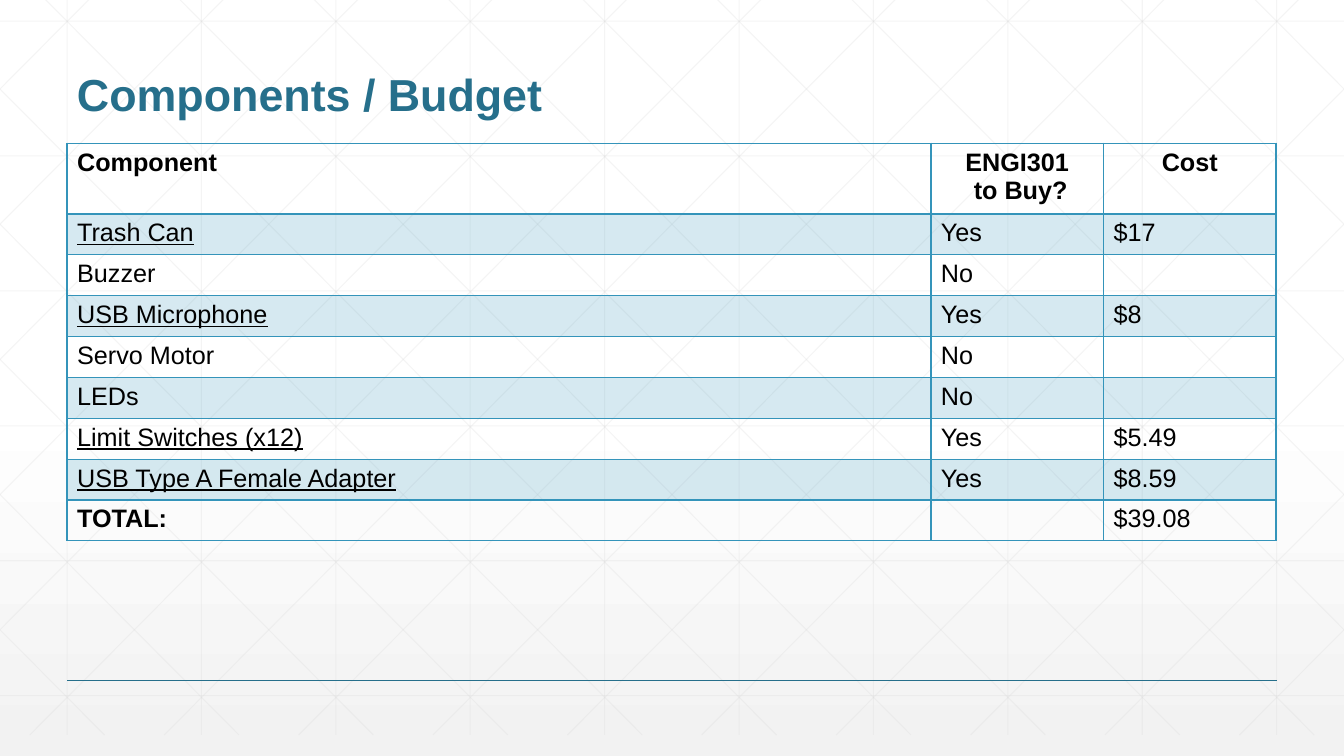
"""Build the Components / Budget slide."""
from lxml import etree
from pptx import Presentation
from pptx.dml.color import RGBColor
from pptx.enum.shapes import MSO_CONNECTOR
from pptx.enum.text import MSO_ANCHOR, PP_ALIGN
from pptx.oxml.ns import qn
from pptx.util import Cm, Pt

TITLE = "Components / Budget"
HEADER = ("Component", "ENGI301\n to Buy?", "Cost")
ROWS = [
    ("Trash Can", "Yes", "$17"),
    ("Buzzer", "No", ""),
    ("USB Microphone", "Yes", "$8"),
    ("Servo Motor", "No", ""),
    ("LEDs", "No", ""),
    ("Limit Switches (x12)", "Yes", "$5.49"),
    ("USB Type A Female Adapter", "Yes", "$8.59"),
    ("TOTAL:", "", "$39.08"),
]
UNDERLINED = {"Trash Can", "USB Microphone", "Limit Switches (x12)",
              "USB Type A Female Adapter"}
BOLD = {*HEADER, "TOTAL:"}

FONT = "Arial"
BLACK = RGBColor(0x00, 0x00, 0x00)
WHITE = RGBColor(0xFF, 0xFF, 0xFF)
PALE_GREY = RGBColor(0xF2, 0xF2, 0xF2)
GRID_GREY = RGBColor(0xD8, 0xD8, 0xD8)
DEEP_TEAL = RGBColor(0x26, 0x6F, 0x8B)
TEAL = RGBColor(0x34, 0x94, 0xBA)
BACKGROUND_STOPS = [(0, WHITE, 100), (53, WHITE, 100), (100, PALE_GREY, 65)]
STRAIGHT = MSO_CONNECTOR.STRAIGHT
BOTTOM = MSO_ANCHOR.BOTTOM
CENTER = PP_ALIGN.CENTER

WIDTH, HEIGHT = 33.87, 19.05
MARGIN = 1.69
CONTENT_WIDTH = WIDTH - 2 * MARGIN
PITCH = WIDTH / 10
GRID_TOP, GRID_BOTTOM = -0.53, 18.52
FIRST_ROW_LINE, ROW_PITCH = 0.53, 3.4
FIRST_DIAGONAL, DIAGONAL_RUN = 0.63, 18.94
TABLE_TOP, ROW_HEIGHT = 3.61, 1.03
COLUMN_WIDTHS = (21.77, 4.35, 4.35)
FOOTER_Y = 17.15


def add_alpha(color_element, percent):
    """Give a colour element its opacity."""
    etree.SubElement(color_element, qn("a:alpha"), val=str(percent * 1000))


def paint_background(page):
    """Fill the page with the vertical gradient."""
    fill = page.background.fill
    fill.gradient()
    fill.gradient_angle = 270
    stop_list = page.background._cSld.find(".//" + qn("a:gsLst"))
    for stop in list(stop_list):
        stop_list.remove(stop)
    for position, color, opacity in BACKGROUND_STOPS:
        stop = etree.SubElement(stop_list, qn("a:gs"), pos=str(position * 1000))
        add_alpha(etree.SubElement(stop, qn("a:srgbClr"), val=str(color)), opacity)


def add_line(shapes, start, end, color, width, opacity=100):
    """Draw one straight line without a shadow."""
    line = shapes.add_connector(STRAIGHT, *map(Cm, start + end))
    line.line.color.rgb = color
    line.line.width = Pt(width)
    properties = line._element.spPr
    if opacity < 100:
        add_alpha(properties.find(".//" + qn("a:srgbClr")), opacity)
    etree.SubElement(properties, qn("a:effectLst"))


def grid_lines():
    """Return the ends of all upright, level and slanting grid lines."""
    lines = []
    for index in range(10):
        x = MARGIN + index * PITCH
        lines.append(((x, GRID_TOP), (x, GRID_BOTTOM)))
    for index in range(6):
        y = FIRST_ROW_LINE + index * ROW_PITCH
        lines.append(((0, y), (WIDTH, y)))
    slope = (GRID_BOTTOM - GRID_TOP) / DIAGONAL_RUN
    for index in range(-5, 10):
        top_x = FIRST_DIAGONAL + index * PITCH
        left, right = max(top_x, 0), min(top_x + DIAGONAL_RUN, WIDTH)
        start_y, end_y = (GRID_TOP + (x - top_x) * slope for x in (left, right))
        lines.append(((left, start_y), (right, end_y)))
        lines.append(((WIDTH - left, start_y), (WIDTH - right, end_y)))
    return lines


def style_paragraph(para, size, color, bold, underline=False):
    """Format every run of a paragraph."""
    for span in para.runs:
        font = span.font
        font.name, font.size = FONT, Pt(size)
        font.bold, font.underline = bold, underline
        font.color.rgb = color


def add_title(page):
    """Place the title above the table."""
    box = page.shapes.add_textbox(Cm(MARGIN), Cm(0.64), Cm(CONTENT_WIDTH), Cm(2.54))
    frame = box.text_frame
    frame.word_wrap = True
    frame.vertical_anchor = BOTTOM
    frame.text = TITLE
    para = frame.paragraphs[0]
    para.line_spacing = 0.9
    style_paragraph(para, 32, DEEP_TEAL, True)


def border_cell(cell, row_index):
    """Outline a cell, with a heavier rule under the header."""
    widths = {"L": 1, "R": 1, "T": 2 if row_index == 1 else 1,
              "B": 2 if row_index == 0 else 1}
    properties = cell._tc.get_or_add_tcPr()
    for place, (side, width) in enumerate(widths.items()):
        edge = etree.Element(qn("a:ln" + side), w=str(Pt(width)))
        fill = etree.SubElement(edge, qn("a:solidFill"))
        etree.SubElement(fill, qn("a:srgbClr"), val=str(TEAL))
        properties.insert(place, edge)


def fill_cell(cell, text, row_index):
    """Write and style one table cell."""
    cell.text_frame.text = text
    for para in cell.text_frame.paragraphs:
        style_paragraph(para, 18, BLACK, text in BOLD, text in UNDERLINED)
        if row_index == 0 and text != HEADER[0]:
            para.alignment = CENTER
    if row_index % 2:
        cell.fill.solid()
        cell.fill.fore_color.rgb = TEAL
        add_alpha(cell._tc.tcPr.find(".//" + qn("a:srgbClr")), 20)
    else:
        cell.fill.background()
    border_cell(cell, row_index)


def add_budget_table(page):
    """Place the table of components and costs."""
    content = [HEADER, *ROWS]
    table = page.shapes.add_table(
        len(content), len(HEADER), Cm(MARGIN), Cm(TABLE_TOP),
        Cm(CONTENT_WIDTH), Cm(ROW_HEIGHT * len(content))).table
    table.first_row = table.horz_banding = False
    for column, width in zip(table.columns, COLUMN_WIDTHS):
        column.width = Cm(width)
    for row_index, texts in enumerate(content):
        table.rows[row_index].height = Cm(ROW_HEIGHT)
        for column_index, text in enumerate(texts):
            fill_cell(table.cell(row_index, column_index), text, row_index)


def main():
    """Assemble and save the deck."""
    deck = Presentation()
    deck.slide_width, deck.slide_height = Cm(WIDTH), Cm(HEIGHT)
    page = deck.slides.add_slide(deck.slide_layouts[6])
    paint_background(page)
    grid = page.shapes.add_group_shape()
    for start, end in grid_lines():
        add_line(grid.shapes, start, end, GRID_GREY, 0.75, 25)
    add_line(page.shapes, (MARGIN, FOOTER_Y), (WIDTH - MARGIN, FOOTER_Y), DEEP_TEAL, 1)
    add_title(page)
    add_budget_table(page)
    deck.save("out.pptx")


if __name__ == "__main__":
    main()
